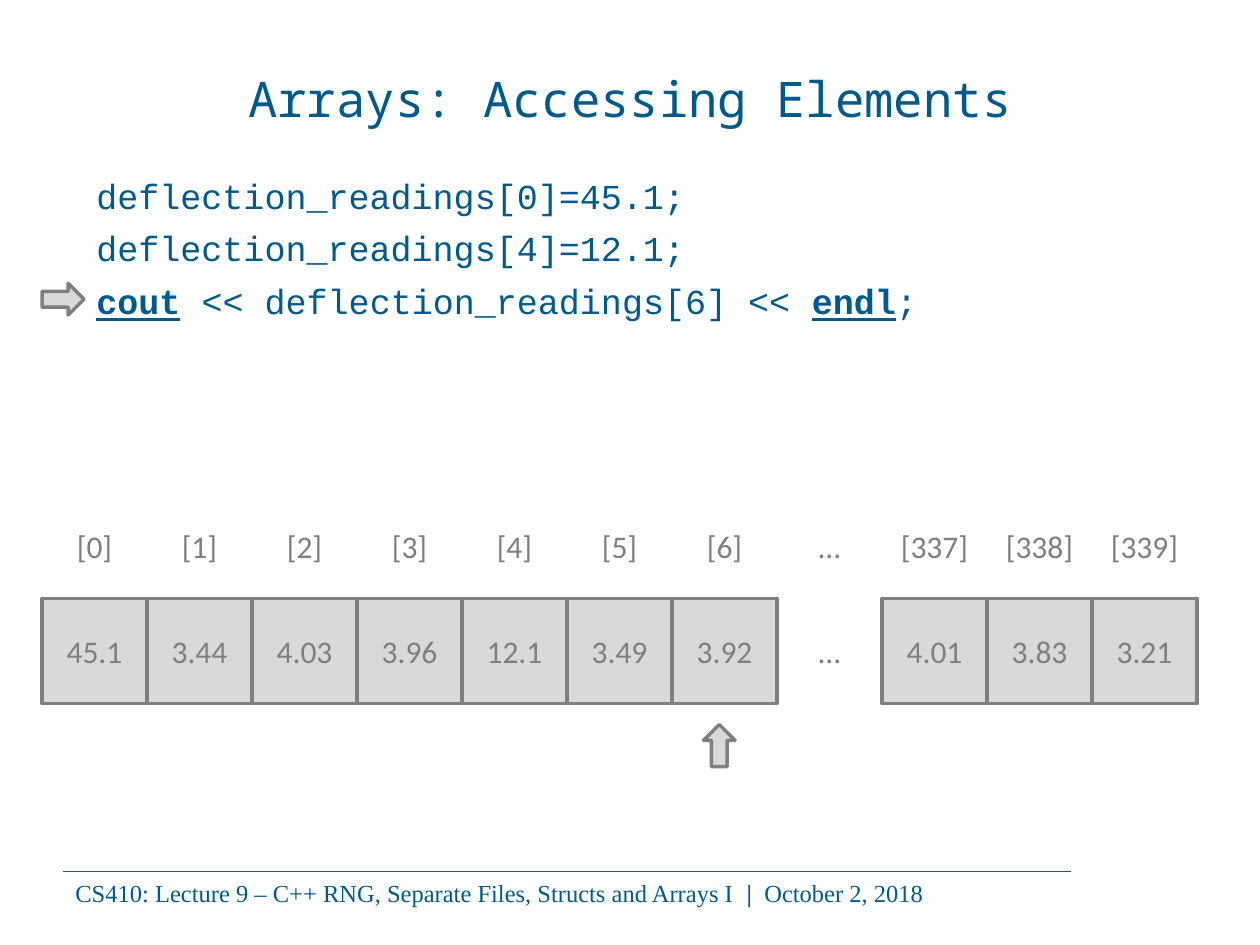
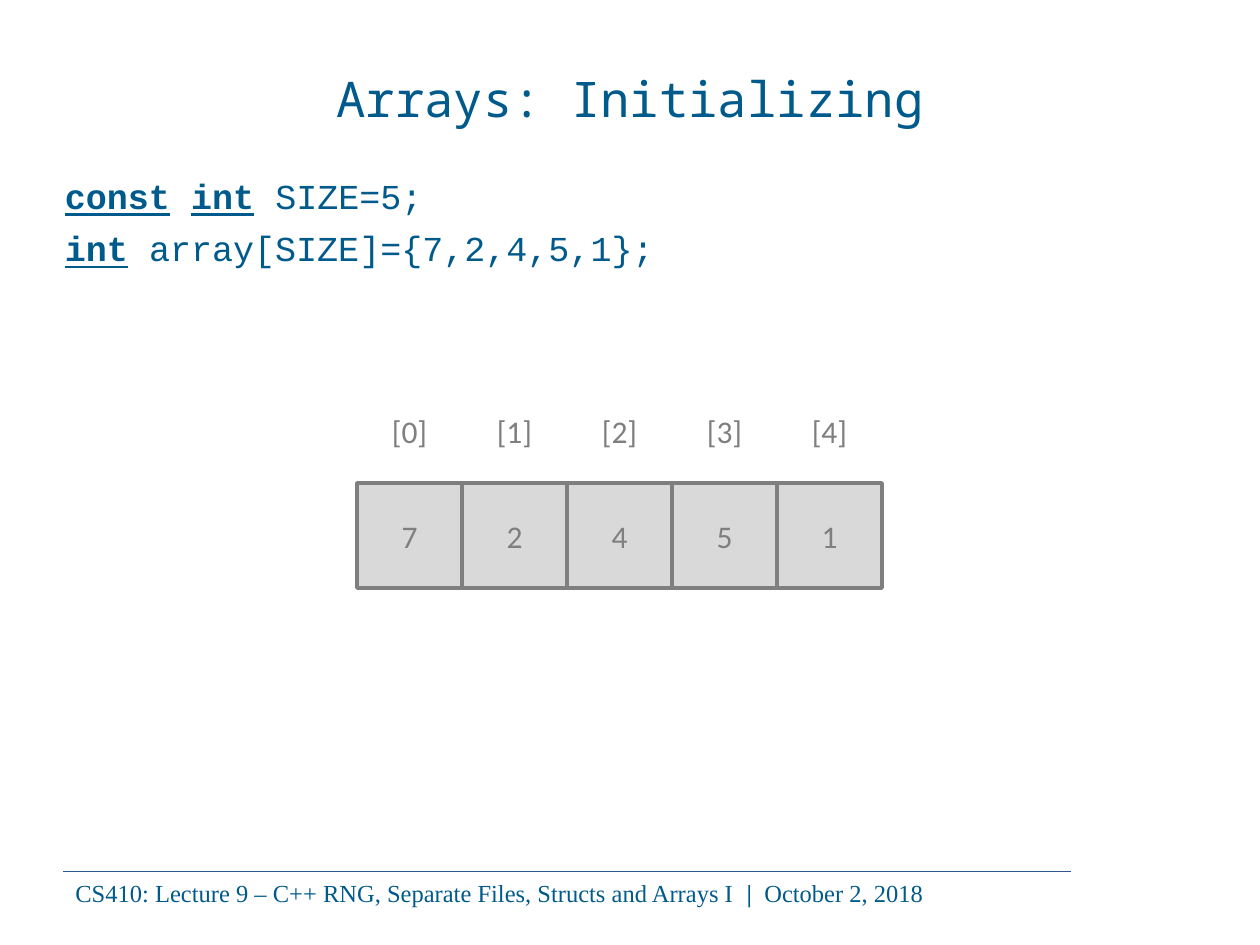
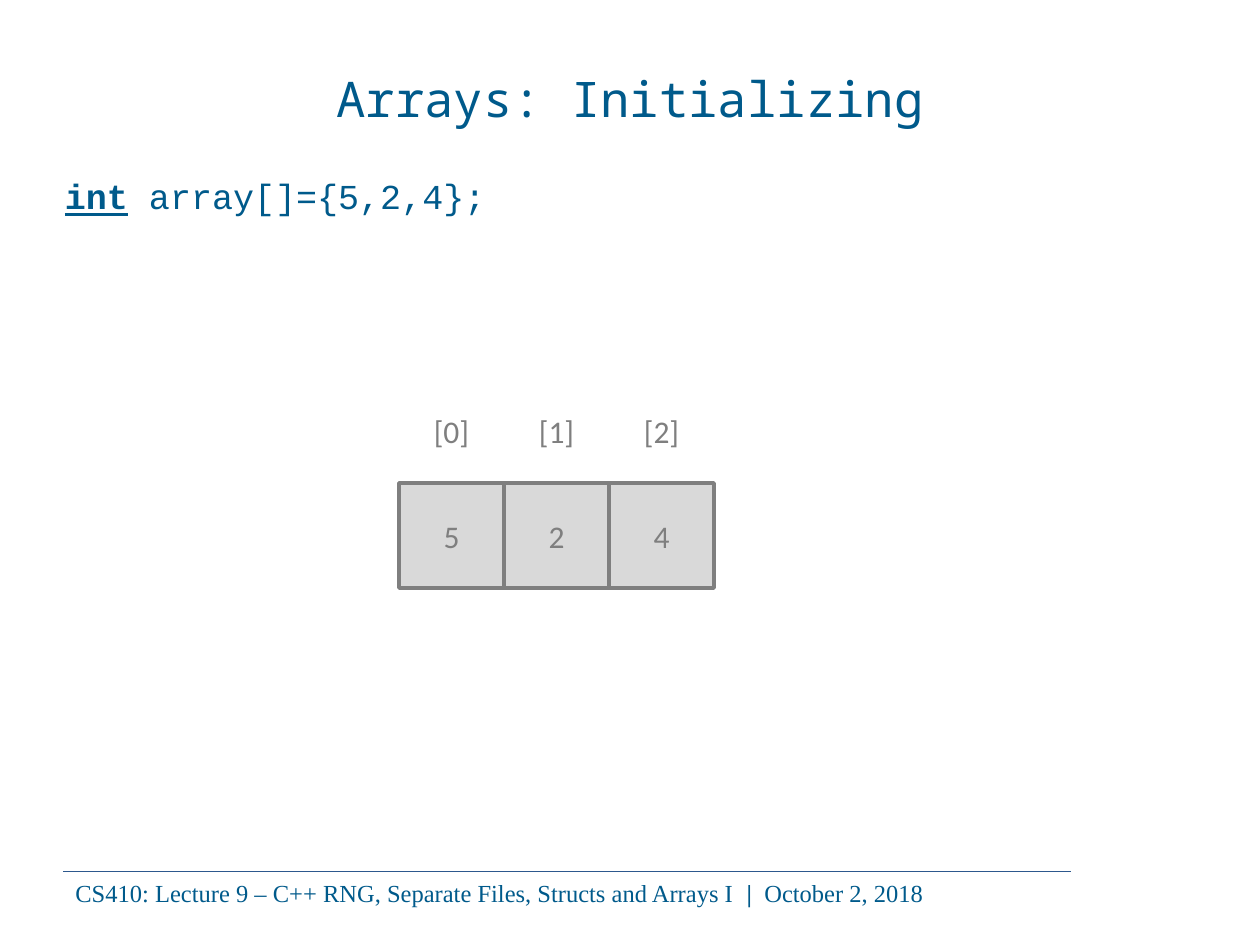
from pptx import Presentation
from pptx import util as u
from pptx.dml.color import RGBColor
from pptx.enum import shapes, text
from pptx.oxml.xmlchemy import OxmlElement

COLORS = {"ink": "005A8B", "rule": "2D588D", "cell": "D9D9D9", "grey": "7F7F7F"}
WIDTH, HEIGHT = u.Inches(10), u.Inches(7.5)
COLUMN, ROW = WIDTH / 12, HEIGHT / 9
FOOTER = ("CS410: Lecture 9 – C++ RNG, Separate Files, Structs and Arrays I  "
          "*|  *October 2, 2018")


def grid(left, top, width, height):
    """Turn columns and rows into lengths."""
    return [u.Emu(round(n)) for n in
            (left * COLUMN, top * ROW, width * COLUMN, height * ROW)]


def color(name):
    """Look up a named colour."""
    return RGBColor.from_string(COLORS[name])


def style(paragraph, font, size, ink, align=None):
    """Set the font and alignment of a paragraph."""
    paragraph.font.name = font
    paragraph.font.size = u.Pt(size)
    paragraph.font.color.rgb = color(ink)
    paragraph.alignment = align


def write_marked(paragraph, line, underline):
    """Write a line in which the parts between asterisks are bold."""
    for index, part in enumerate(line.split("*")):
        if part:
            span = paragraph.add_run()
            span.text = part
            if index % 2:
                span.font.bold = True
                span.font.underline = underline or None


def add_box(slide, *place):
    """Add a wrapping text box."""
    box = slide.shapes.add_textbox(*grid(*place))
    box.text_frame.word_wrap = True
    return box


def add_grey_shape(slide, kind, *place):
    """Add a light grey shape with a darker outline."""
    shape = slide.shapes.add_shape(kind, *grid(*place))
    shape.shadow.inherit = False
    shape.fill.solid()
    shape.fill.fore_color.rgb = color("cell")
    shape.line.color.rgb = color("grey")
    shape.line.width = u.Pt(2)
    return shape


def add_arrow(slide, left, top, rotation=0):
    """Add a small block arrow."""
    arrow = add_grey_shape(slide, shapes.MSO_SHAPE.RIGHT_ARROW, left, top, 0.4, 0.3)
    arrow.rotation = rotation


def center_text(shape, words):
    """Put grey words in the middle of a shape."""
    frame = shape.text_frame
    frame.vertical_anchor = text.MSO_ANCHOR.MIDDLE
    paragraph = frame.paragraphs[0]
    paragraph.text = words
    style(paragraph, "Calibri", 18, "grey", text.PP_ALIGN.CENTER)


def add_array(slide, left, top, values, labels=None):
    """Draw array cells with their indices one row above."""
    labels = labels or [f"[{index}]" for index in range(len(values))]
    for index, (value, label) in enumerate(zip(values, labels)):
        column = left + index
        if value == "…":
            cell = add_box(slide, column, top, 1, 1)
        else:
            cell = add_grey_shape(slide, shapes.MSO_SHAPE.RECTANGLE, column, top, 1, 1)
        center_text(cell, value)
        center_text(add_box(slide, column, top - 1, 1, 1), label)


def add_code(slide, left, width, lines):
    """Write code lines with hanging indents and marked keywords."""
    frame = add_box(slide, left, 1.6, width, 6.45).text_frame
    for index, line in enumerate(lines):
        paragraph = frame.add_paragraph() if index else frame.paragraphs[0]
        write_marked(paragraph, line, underline=True)
        style(paragraph, "Courier New", 20, "ink")
        paragraph.space_before = u.Pt(6)
        properties = paragraph._p.get_or_add_pPr()
        properties.set("marL", str(u.Inches(0.38)))
        properties.set("indent", str(u.Inches(-0.38)))


def add_footer(slide):
    """Add the footer line and text."""
    left, top, width, _ = grid(0.6, 8.3, 9.6, 0)
    rule = slide.shapes.add_connector(
        shapes.MSO_CONNECTOR.STRAIGHT, left, top, left + width, top)
    rule.line.color.rgb = color("rule")
    rule.line.width = u.Pt(0.5)
    rule._element.spPr.append(OxmlElement("a:effectLst"))
    paragraph = add_box(slide, 0.6, 8.3, 9.8, 0.41).text_frame.paragraphs[0]
    write_marked(paragraph, FOOTER, underline=False)
    style(paragraph, "Times New Roman", 14, "ink")


def add_slide(deck, heading):
    """Add a slide with a title and the shared footer."""
    slide = deck.slides.add_slide(deck.slide_layouts[5])
    add_footer(slide)
    title = slide.shapes.title
    title.left, title.top, title.width, title.height = grid(0.6, 0.36, 10.8, 1.14)
    title.text_frame.vertical_anchor = text.MSO_ANCHOR.MIDDLE
    paragraph = title.text_frame.paragraphs[0]
    paragraph.text = heading
    style(paragraph, "Noto Sans Mono", 28, "ink", text.PP_ALIGN.CENTER)
    return slide


def main():
    """Build the deck."""
    deck = Presentation()
    deck.slide_width, deck.slide_height = WIDTH, HEIGHT

    access = add_slide(deck, "Arrays: Accessing Elements")
    add_code(access, 0.6, 10.3, [
        " deflection_readings[0]=45.1;",
        " deflection_readings[4]=12.1;",
        " *cout* << deflection_readings[6] << *endl*;"])
    readings = "45.1 3.44 4.03 3.96 12.1 3.49 3.92 … 4.01 3.83 3.21".split()
    indices = "[0] [1] [2] [3] [4] [5] [6] … [337] [338] [339]".split()
    add_array(access, 0.4, 5.7, readings, indices)
    add_arrow(access, 0.4, 2.7)
    add_arrow(access, 6.65, 6.95, rotation=270)

    sized = add_slide(deck, "Arrays: Initializing")
    add_code(sized, 0.5, 11.7, ["*const* *int* SIZE=5;", "*int* array[SIZE]={7,2,4,5,1};"])
    add_array(sized, 3.4, 4.6, "72451")

    unsized = add_slide(deck, "Arrays: Initializing")
    add_code(unsized, 0.5, 10.9, ["*int* array[]={5,2,4};"])
    add_array(unsized, 3.8, 4.6, "524")

    deck.save("out.pptx")


if __name__ == "__main__":
    main()
